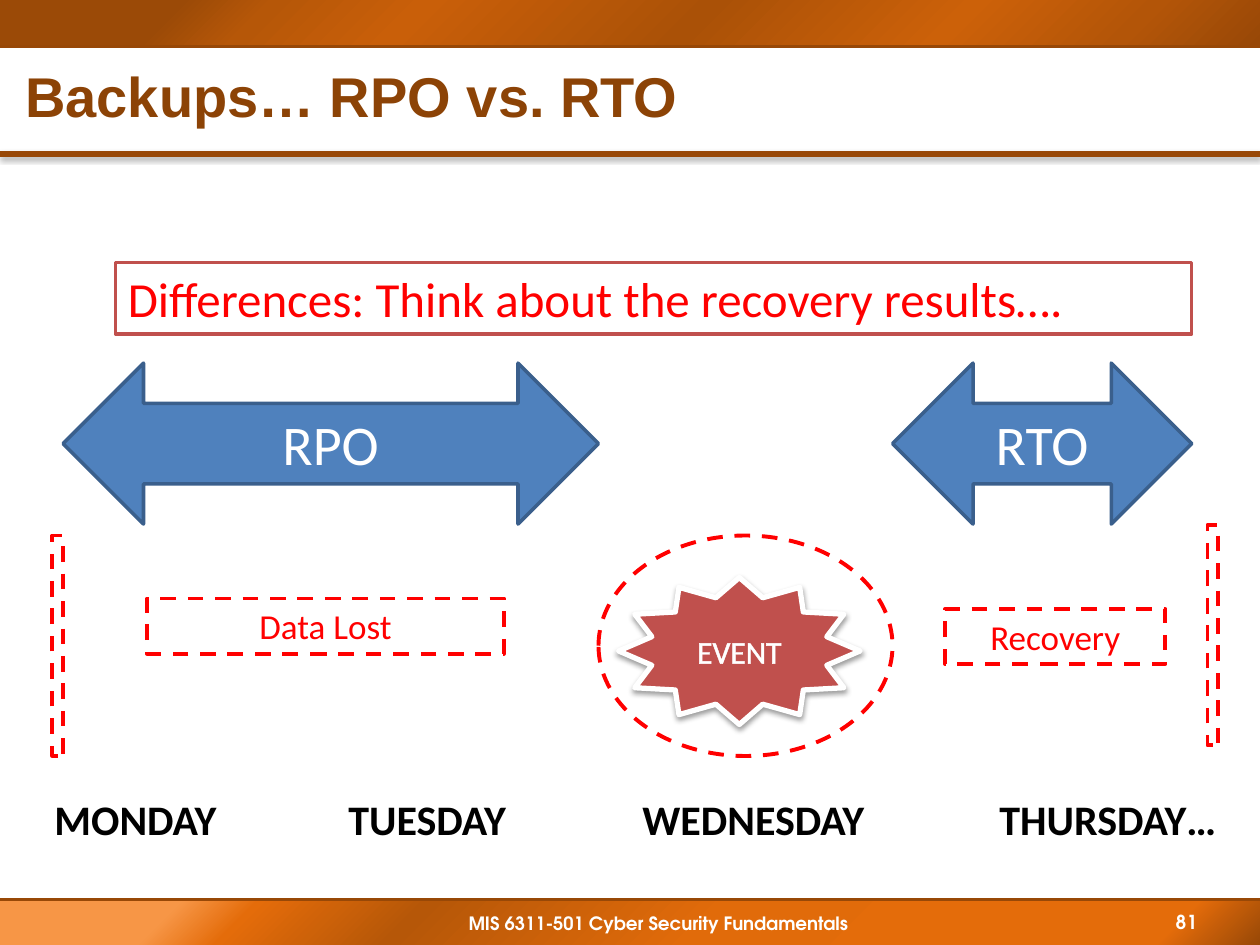
from dataclasses import dataclass, field
from typing import Optional

from lxml.etree import SubElement
from pptx import Presentation
from pptx.dml.color import RGBColor
from pptx.enum.dml import MSO_LINE
from pptx.enum.shapes import MSO_CONNECTOR, MSO_SHAPE
from pptx.enum.text import MSO_ANCHOR, PP_ALIGN
from pptx.oxml.ns import qn
from pptx.util import Pt

COLOURS = {
    "white": "FFFFFF", "black": "000000", "red": "FF0000", "brick": "C0504D",
    "blue": "4F81BD", "navy": "3A5F8C", "brown": "984807", "title": "8C4306",
    "purple": "5E457C",
}
TOP_STOPS = [(14, "9B4A07"), (21, "B65708"), (33, "C95F09"), (55, "AA5107"),
             (75, "CC6109"), (89, "B35508"), (100, "984807")]
BOTTOM_STOPS = [(14, "F79646"), (20, "E46C0A"), (33, "B65708"), (56, "E16B0A"),
                (78, "E46C0A"), (92, "E46C0A"), (100, "984807")]


@dataclass
class Label:
    text: str
    size: float
    colour: str
    font: str = "Calibri"
    bold: bool = False
    outline: Optional[tuple[str, float]] = None
    para: dict = field(default_factory=dict)
    frame: dict = field(default_factory=dict)


@dataclass
class Figure:
    kind: MSO_SHAPE
    bounds: tuple[float, float, float, float]
    fill: Optional[str] = None
    line: Optional[str] = None
    width: float = 2
    dashed: bool = False
    shadow: bool = False
    label: Optional[Label] = None


def rgb(name: str) -> RGBColor:
    return RGBColor.from_string(COLOURS[name])


def apply(target, formats: dict) -> None:
    for name, value in formats.items():
        setattr(target, name, value)


def add_colour(parent, value: str):
    solid = SubElement(parent, qn("a:solidFill"))
    return SubElement(solid, qn("a:srgbClr"), val=value)


def add_shadow(effects) -> None:
    shadow = SubElement(effects, qn("a:outerShdw"), blurRad=str(Pt(3.1)), dist=str(Pt(1.6)),
                        dir="5400000", rotWithShape="0")
    colour = SubElement(shadow, qn("a:srgbClr"), val=COLOURS["black"])
    SubElement(colour, qn("a:alpha"), val="38000")


def write(box, label: Label) -> None:
    frame = box.text_frame
    apply(frame, {"word_wrap": True, "vertical_anchor": MSO_ANCHOR.TOP, **label.frame})
    para = frame.paragraphs[0]
    apply(para, {"alignment": PP_ALIGN.LEFT, **label.para})
    span = para.add_run()
    span.text = label.text
    apply(span.font, {"name": label.font, "size": Pt(label.size), "bold": label.bold})
    span.font.color.rgb = rgb(label.colour)
    if label.outline:
        colour, width = label.outline
        properties = span.font._element
        outline = SubElement(properties, qn("a:ln"), w=str(Pt(width)))
        add_colour(outline, COLOURS[colour])
        properties.insert(0, outline)


def draw_text(page, bounds: tuple, label: Label) -> None:
    write(page.shapes.add_textbox(*map(Pt, bounds)), label)


def draw_figure(page, figure: Figure):
    shape = page.shapes.add_shape(figure.kind, *map(Pt, figure.bounds))
    shape.shadow.inherit = False
    if figure.fill:
        shape.fill.solid()
        shape.fill.fore_color.rgb = rgb(figure.fill)
    else:
        shape.fill.background()
    if figure.line:
        shape.line.color.rgb = rgb(figure.line)
        shape.line.width = Pt(figure.width)
        if figure.dashed:
            shape.line.dash_style = MSO_LINE.DASH
    else:
        shape.line.fill.background()
    if figure.shadow:
        add_shadow(shape._element.spPr.find(qn("a:effectLst")))
    if figure.label:
        write(shape, figure.label)
    return shape


def draw_bar(page, top: float, stops: list) -> None:
    bar = draw_figure(page, Figure(MSO_SHAPE.RECTANGLE, (0, top, 720, 26)))
    properties = bar._element.spPr
    gradient = SubElement(properties, qn("a:gradFill"), rotWithShape="1")
    stop_list = SubElement(gradient, qn("a:gsLst"))
    for position, colour in stops:
        stop = SubElement(stop_list, qn("a:gs"), pos=str(position * 1000))
        SubElement(stop, qn("a:srgbClr"), val=colour)
    SubElement(gradient, qn("a:lin"), ang="2700000", scaled="0")
    properties.replace(properties.find(qn("a:noFill")), gradient)


def draw_rule(page, top: float, width: float, shadow: bool = False) -> None:
    rule = page.shapes.add_connector(MSO_CONNECTOR.STRAIGHT, Pt(0), Pt(top), Pt(720), Pt(top))
    rule.line.color.rgb = rgb("brown")
    rule.line.width = Pt(width)
    effects = SubElement(rule._element.spPr, qn("a:effectLst"))
    if shadow:
        add_shadow(effects)


def dashed(kind: MSO_SHAPE, bounds: tuple, label: Optional[Label] = None) -> Figure:
    return Figure(kind, bounds, line="red", width=2.25, dashed=True, label=label)


def main() -> None:
    deck = Presentation()
    apply(deck, {"slide_width": Pt(720), "slide_height": Pt(540)})
    page = deck.slides.add_slide(deck.slide_layouts[6])
    centred = {"alignment": PP_ALIGN.CENTER}
    middle = {"vertical_anchor": MSO_ANCHOR.MIDDLE}

    draw_bar(page, 514, BOTTOM_STOPS)
    draw_rule(page, 88, 3, shadow=True)
    draw_text(page, (102, 517.5, 534, 21), Label(
        "MIS 6311-501 Cyber Security Fundamentals", 10.5, "white", "TeX Gyre Adventor", True,
        para=centred, frame={"margin_left": Pt(21.6)}))
    draw_bar(page, 0, TOP_STOPS)
    draw_rule(page, 514, 1.5)
    draw_rule(page, 26.5, 1.5)
    draw_text(page, (0, 30, 720, 54), Label(
        "Backups… RPO vs. RTO", 32, "title", "Arial", True,
        para={"line_spacing": 0.9}, frame={**middle, "margin_left": Pt(14.4)}))

    draw_figure(page, Figure(
        MSO_SHAPE.STAR_12_POINT, (353.5, 330, 138, 84), "brick", "white", 3, shadow=True,
        label=Label("EVENT", 18, "white", outline=("white", 1.45), para=centred,
                    frame={**middle, "word_wrap": False})))

    days = [("MONDAY", 24, 120), ("TUESDAY", 192, 120),
            ("WEDNESDAY", 360, 156), ("THURSDAY…", 564, 156)]
    for day, left, width in days:
        draw_text(page, (left, 450, width, 36),
                  Label(day, 24, "black", bold=True, outline=("purple", 0.71)))

    draw_figure(page, dashed(MSO_SHAPE.OVAL, (342, 306, 168, 126)))
    draw_figure(page, Figure(
        MSO_SHAPE.RECTANGLE, (66, 150, 615, 41), "white", "brick",
        label=Label("Differences: Think about the recovery results….", 28, "red")))
    draw_text(page, (648, 516, 60, 21), Label(
        "81", 11, "white", "TeX Gyre Adventor", True, para=centred, frame=middle))

    for left, top in [(690, 300), (30, 306)]:
        draw_figure(page, dashed(MSO_SHAPE.RECTANGLE, (left, top, 6, 126)))
    for text, left, top, width in [("Data Lost", 84, 342, 204), ("Recovery", 540, 348, 126)]:
        draw_figure(page, dashed(MSO_SHAPE.RECTANGLE, (left, top, width, 31.5),
                                 Label(text, 20, "red", para=centred)))
    for text, left, width in [("RPO", 36, 306), ("RTO", 510, 171)]:
        draw_figure(page, Figure(
            MSO_SHAPE.LEFT_RIGHT_ARROW, (left, 207.5, width, 92), "blue", "navy",
            label=Label(text, 32, "white", para=centred, frame=middle)))

    deck.save("out.pptx")


if __name__ == "__main__":
    main()
